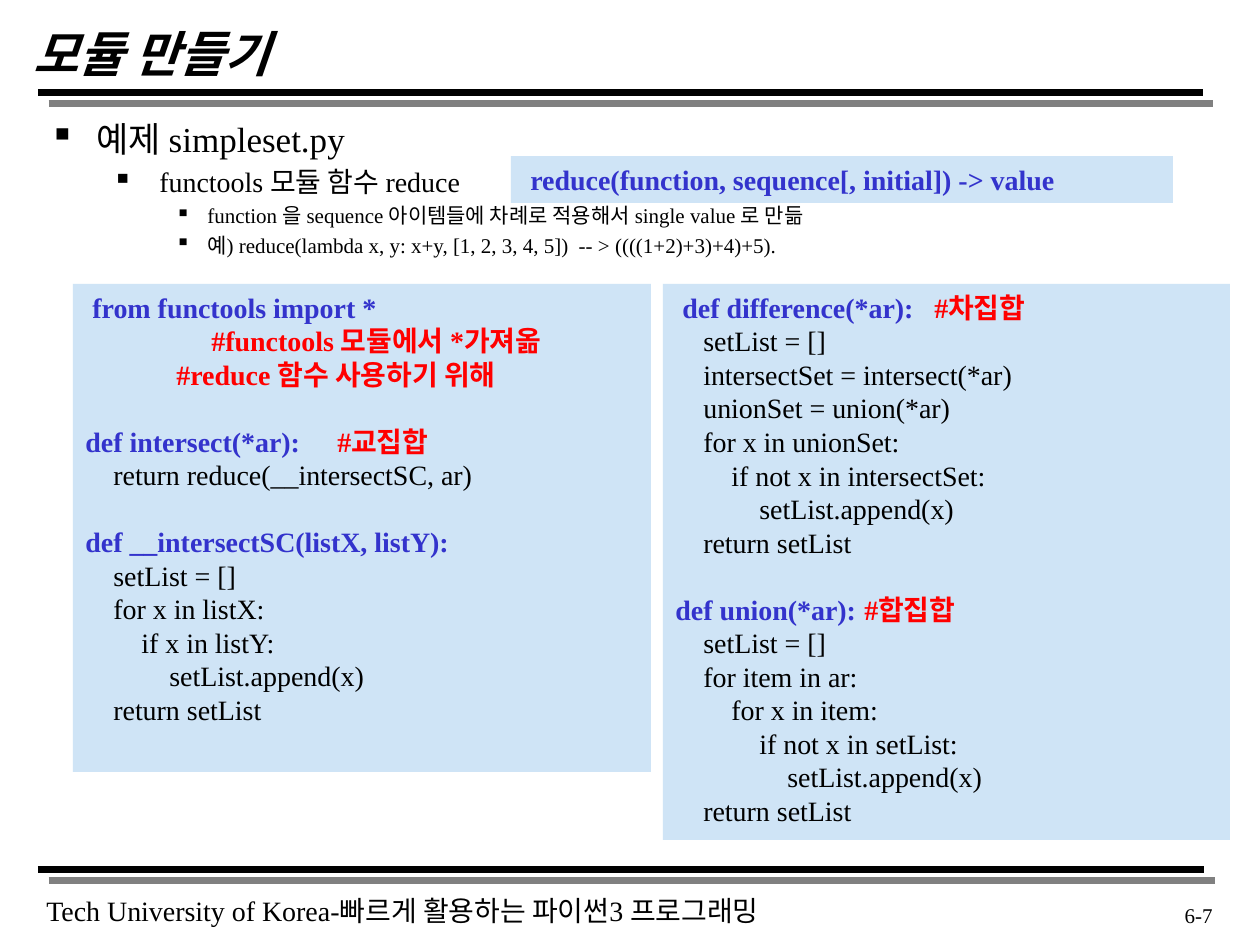
import lxml.etree
import pptx
import pptx.dml.color
import pptx.enum.shapes
import pptx.enum.text
import pptx.oxml.ns
import pptx.util
from dataclasses import dataclass

PX = 914400 / 126


@dataclass(frozen=True)
class Theme:
    font: str = "Times New Roman"
    ink: str = "000000"
    keyword: str = "3333CC"
    comment: str = "FF0000"
    panel: str = "CFE4F6"
    shadow: str = "808080"
    title: int = 28
    topic: int = 20
    code: int = 16
    detail: int = 12


theme = Theme()
qn = pptx.oxml.ns.qn
rgb = pptx.dml.color.RGBColor.from_string
anchors = pptx.enum.text.MSO_ANCHOR

deck = pptx.Presentation()
deck.slide_width = round(1260 * PX)
deck.slide_height = round(945 * PX)
slide = deck.slides.add_slide(deck.slide_layouts[6])


def add_frame(left, top, width, height, fill=None, anchor=anchors.TOP):
    box = [round(length * PX) for length in (left, top, width, height)]
    if fill:
        panel = slide.shapes.add_shape(pptx.enum.shapes.MSO_SHAPE.RECTANGLE, *box)
        panel.shadow.inherit = False
        panel.fill.solid()
        panel.fill.fore_color.rgb = rgb(fill)
        panel.line.fill.background()
    else:
        panel = slide.shapes.add_textbox(*box)
    panel.text_frame.word_wrap = True
    panel.text_frame.vertical_anchor = anchor
    return panel.text_frame


def add_line(frame, runs, size, indent=0, hanging=0, before=0, tab=0, bold=False):
    line = frame.paragraphs[0]
    if line.runs:
        line = frame.add_paragraph()
    line.alignment = pptx.enum.text.PP_ALIGN.LEFT
    line.space_before = pptx.util.Pt(before)
    properties = line._p.get_or_add_pPr()
    properties.set("marL", str(round(indent * PX)))
    properties.set("indent", str(round(-hanging * PX)))
    if hanging:
        lxml.etree.SubElement(properties, qn("a:buChar"), char="▪")
    if tab:
        stops = lxml.etree.SubElement(properties, qn("a:tabLst"))
        lxml.etree.SubElement(stops, qn("a:tab"), pos=str(round(tab * PX)), algn="l")
    line.font.name = theme.font
    line.font.size = pptx.util.Pt(size)
    line.font.bold = bold
    if len(runs) == 1:
        line.font.color.rgb = rgb(runs[0][1])
    for text, color in runs:
        run = line.add_run()
        run.text = text
        if len(runs) > 1:
            run.font.color.rgb = rgb(color)
    return line


for rule_y, rule_right in ((93, 1203), (870, 1204)):
    for rule_left in (133, 38):
        rule = slide.shapes.add_connector(
            pptx.enum.shapes.MSO_CONNECTOR.STRAIGHT,
            *[round(length * PX) for length in (rule_left, rule_y, rule_right, rule_y)])
        rule.line.color.rgb = rgb(theme.ink)
        rule.line.width = pptx.util.Pt(4)
        effects = lxml.etree.SubElement(rule._element.spPr, qn("a:effectLst"))
        shadow = lxml.etree.SubElement(
            effects, qn("a:outerShdw"), dist=str(pptx.util.Pt(8.5)), dir="2700000",
            algn="ctr", rotWithShape="0")
        lxml.etree.SubElement(shadow, qn("a:srgbClr"), val=theme.shadow)

footer = add_frame(34, 887, 782, 47)
add_line(footer, [("Tech University of Korea-빠르게 활용하는 파이썬3 프로그래밍", theme.ink)], theme.code)

title = add_frame(21, 21, 1071, 63, anchor=anchors.MIDDLE)
heading = add_line(title, [("모듈 만들기", theme.ink)], theme.title, bold=True)
heading.font.italic = True

outline = add_frame(37, 111, 1182, 709)
for text, size, indent, hanging in (
    ("예제 simpleset.py", theme.topic, 47, 47),
    ("functools 모듈 함수 reduce", theme.code, 110, 47),
    ("function 을 sequence 아이템들에 차례로 적용해서 single value 로 만듦", theme.detail, 158, 32),
    ("예) reduce(lambda x, y: x+y, [1, 2, 3, 4, 5])  -- > ((((1+2)+3)+4)+5).", theme.detail, 158, 32),
):
    add_line(outline, [(text, theme.ink)], size, indent, hanging, before=size * 0.2)

page = add_frame(1120, 896, 105, 40)
number = add_line(page, [("6-7", theme.ink)], theme.detail)
number.alignment = pptx.enum.text.PP_ALIGN.RIGHT

SPACE = 7
STEP = 4 * SPACE
signature = add_frame(511, 156, 662, 47, theme.panel)
add_line(signature, [("reduce(function, sequence[, initial]) -> value", theme.keyword)],
         theme.code, SPACE, bold=True)

intersect_code = (
    (SPACE, "from functools import *", ""),
    (126, "", "#functools 모듈에서 *가져옮"),
    (13 * SPACE, "", "#reduce 함수 사용하기 위해"),
    (0, "def intersect(*ar):", "#교집합"),
    (STEP, "return reduce(__intersectSC, ar)", ""),
    (0, "def __intersectSC(listX, listY):", ""),
    (STEP, "setList = []", ""),
    (STEP, "for x in listX:", ""),
    (2 * STEP, "if x in listY:", ""),
    (3 * STEP, "setList.append(x)", ""),
    (STEP, "return setList", ""),
)
union_code = (
    (SPACE, "def difference(*ar):", "#차집합"),
    (STEP, "setList = []", ""),
    (STEP, "intersectSet = intersect(*ar)", ""),
    (STEP, "unionSet = union(*ar)", ""),
    (STEP, "for x in unionSet:", ""),
    (2 * STEP, "if not x in intersectSet:", ""),
    (3 * STEP, "setList.append(x)", ""),
    (STEP, "return setList", ""),
    (0, "def union(*ar):", "#합집합"),
    (STEP, "setList = []", ""),
    (STEP, "for item in ar:", ""),
    (2 * STEP, "for x in item:", ""),
    (3 * STEP, "if not x in setList:", ""),
    (4 * STEP, "setList.append(x)", ""),
    (STEP, "return setList", ""),
)
for left, width, height, comment_tab, code in (
    (73, 578, 488, 249, intersect_code),
    (663, 567, 556, 265, union_code),
):
    listing = add_frame(left, 284, width, height, theme.panel)
    for position, (indent, statement, comment) in enumerate(code):
        defines = statement.startswith(("def ", "from "))
        tabbed = bool(statement and comment)
        runs = []
        if statement:
            runs.append((statement + "\t" * tabbed, theme.keyword if defines else theme.ink))
        if comment:
            runs.append((comment, theme.comment))
        add_line(listing, runs, theme.code, indent,
                 before=19 if position and defines else 0,
                 tab=comment_tab if tabbed else 0,
                 bold=defines or bool(comment))

deck.save("out.pptx")
